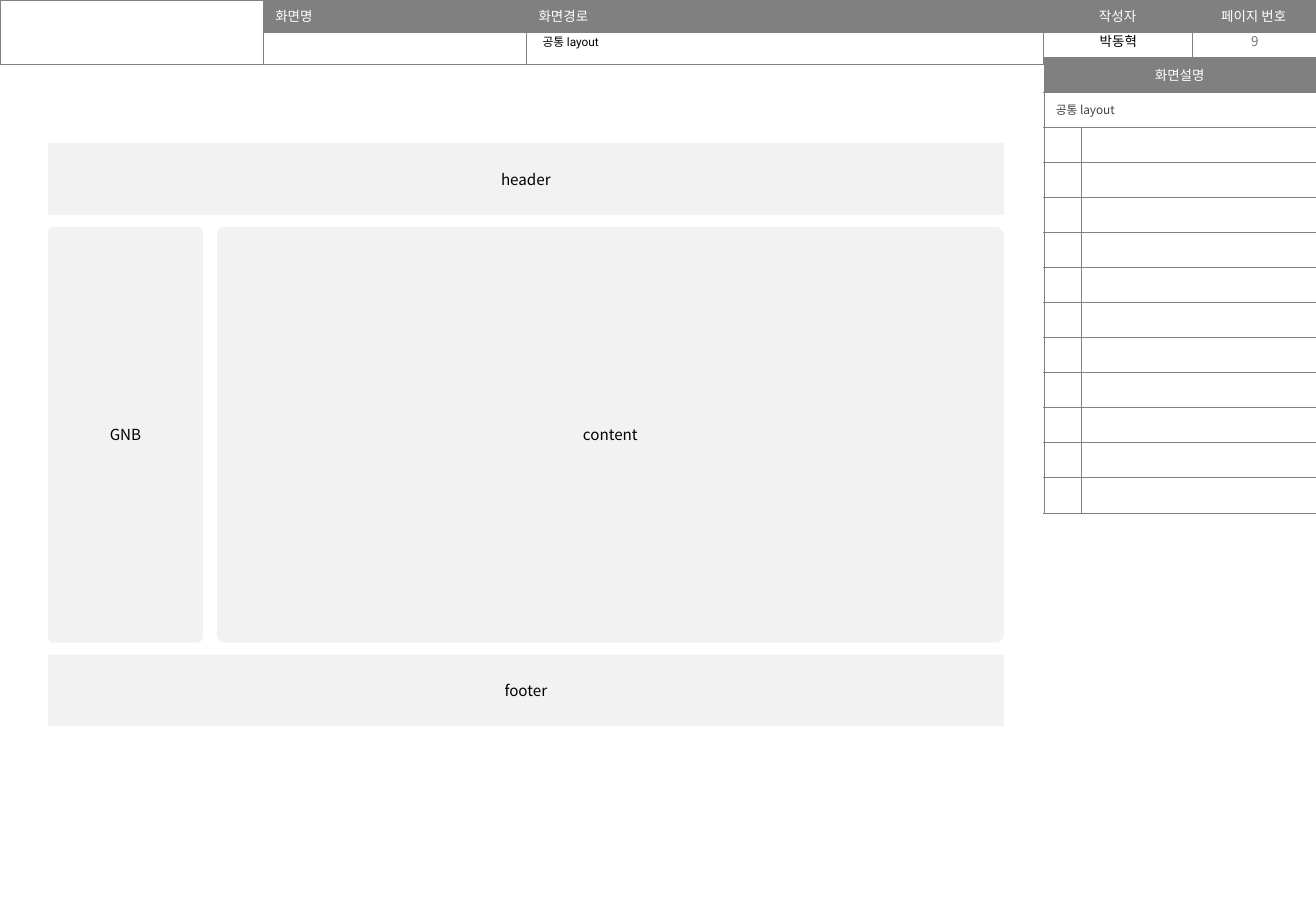
from dataclasses import dataclass

from lxml.etree import SubElement
from pptx import Presentation
from pptx.dml.color import RGBColor
from pptx.enum.shapes import MSO_SHAPE
from pptx.enum.text import MSO_ANCHOR, PP_ALIGN
from pptx.oxml.ns import qn
from pptx.slide import Slide
from pptx.table import Table, _Cell
from pptx.text.text import TextFrame
from pptx.util import Pt


@dataclass(frozen=True)
class Theme:
    font: str = "Noto Sans CJK KR"
    path_font: str = "Roboto"
    gray: str = "808080"
    panel: str = "F2F2F2"
    white: str = "FFFFFF"
    black: str = "000000"
    number: str = "797979"
    note: str = "404040"
    small: float = 7
    label: float = 8
    block: float = 9
    border: float = 0.25


THEME = Theme()


@dataclass(frozen=True)
class Style:
    size: float = THEME.label
    color: str = THEME.black
    font: str = THEME.font
    align: PP_ALIGN = PP_ALIGN.CENTER
    anchor: MSO_ANCHOR = MSO_ANCHOR.MIDDLE


@dataclass(frozen=True)
class Box:
    text: str
    left: float
    top: float
    width: float
    height: float
    style: Style = Style()
    adj: float = 0


def write(tf: TextFrame, text: str, style: Style) -> None:
    p = tf.paragraphs[0]
    p.text = text
    p.alignment = style.align
    for r in p.runs:
        r.font.size = Pt(style.size)
        r.font.name = style.font
        r.font.color.rgb = RGBColor.from_string(style.color)
        # Korean letters take their own typeface
        latin = r.font._element.find(qn("a:latin"))
        ea = SubElement(r.font._element, qn("a:ea"), typeface=THEME.font)
        latin.addnext(ea)
    if not text:
        # Keep empty rows from growing
        SubElement(p._p, qn("a:endParaRPr"), sz=str(int(style.size * 100)))


def add_box(s: Slide, box: Box) -> None:
    tf = s.shapes.add_textbox(
        Pt(box.left), Pt(box.top), Pt(box.width), Pt(box.height)
    ).text_frame
    tf.word_wrap = True
    tf.vertical_anchor = box.style.anchor
    write(tf, box.text, box.style)


def add_block(s: Slide, box: Box) -> None:
    sp = s.shapes.add_shape(
        MSO_SHAPE.ROUNDED_RECTANGLE,
        Pt(box.left), Pt(box.top), Pt(box.width), Pt(box.height),
    )
    sp.adjustments[0] = box.adj
    sp.shadow.inherit = False
    sp.fill.solid()
    sp.fill.fore_color.rgb = RGBColor.from_string(THEME.panel)
    sp.line.fill.background()
    tf = sp.text_frame
    tf.word_wrap = True
    tf.margin_left = tf.margin_right = tf.margin_top = tf.margin_bottom = Pt(7.2)
    tf.vertical_anchor = box.style.anchor
    write(tf, box.text, box.style)


def set_cell(cell: _Cell, text: str, style: Style, filled: bool) -> None:
    tc_pr = cell._tc.get_or_add_tcPr()
    for side in ("a:lnL", "a:lnR", "a:lnT", "a:lnB"):
        ln = SubElement(tc_pr, qn(side), w=str(Pt(THEME.border)))
        SubElement(SubElement(ln, qn("a:solidFill")), qn("a:srgbClr"), val=THEME.gray)
    if filled:
        cell.fill.solid()
        cell.fill.fore_color.rgb = RGBColor.from_string(THEME.gray)
    else:
        cell.fill.background()
    cell.vertical_anchor = style.anchor
    write(cell.text_frame, text, style)


def add_grid(
    s: Slide, left: float, top: float, cols: list[float], rows: int, row_height: float
) -> Table:
    table = s.shapes.add_table(
        rows, len(cols), Pt(left), Pt(top), Pt(sum(cols)), Pt(row_height * rows)
    ).table
    table.first_row = table.horz_banding = False
    for col, width in zip(table.columns, cols):
        col.width = Pt(width)
    for row in table.rows:
        row.height = Pt(row_height)
    return table


def main() -> None:
    prs = Presentation()
    prs.slide_width, prs.slide_height = Pt(780), Pt(540)
    s = prs.slides.add_slide(prs.slide_layouts[6])

    # Title strip
    head_cols = [156, 156, 306.6, 87.8, 73.6]
    side_left = sum(head_cols[:3])
    head = add_grid(s, 0, 0, head_cols, 2, 19)
    head.cell(0, 0).merge(head.cell(1, 0))
    labels = ["", "화면명", "화면경로", "작성자", "페이지 번호"]
    for i, label in enumerate(labels):
        align = PP_ALIGN.CENTER if i > 2 else PP_ALIGN.LEFT
        style = Style(color=THEME.white, align=align, anchor=MSO_ANCHOR.TOP)
        set_cell(head.cell(0, i), label, style, bool(label))
        set_cell(head.cell(1, i), "", style, False)

    # Values of the strip
    path_style = Style(
        THEME.small, font=THEME.path_font, align=PP_ALIGN.LEFT, anchor=MSO_ANCHOR.TOP
    )
    for box in (
        Box("박동혁", side_left, 15.8, 88.6, 17.3, Style(anchor=MSO_ANCHOR.TOP)),
        Box("9", 707.5, 15.8, 72.5, 17.3, Style(color=THEME.number)),
        Box("공통 layout", 314.6, 17.3, 303, 16, path_style),
    ):
        add_box(s, box)

    # Screen description
    side = add_grid(s, side_left, 33.8, [22, 139.4], 13, 20.8)
    texts = {
        0: ("화면설명", Style(color=THEME.white)),
        1: ("공통 layout", Style(THEME.small, THEME.note, align=PP_ALIGN.LEFT)),
    }
    for i in range(len(side.rows)):
        text, style = texts.get(i, ("", Style()))
        if text:
            side.cell(i, 0).merge(side.cell(i, 1))
        set_cell(side.cell(i, 0), text, style, i == 0)
        set_cell(side.cell(i, 1), "", style, i == 0)

    # Page layout blocks
    left, top, width, bar, body = 28.4, 84.8, 566.6, 42.5, 246.6
    nav, gap, gutter = 92, 7.1, 8.1
    body_top = top + bar + gap
    foot_top = body_top + body + gap
    content_left = left + nav + gutter
    style = Style(THEME.block)
    for box in (
        Box("header", left, top, width, bar, style),
        Box("GNB", left, body_top, nav, body, style, 0.04),
        Box("footer", left, foot_top, width, bar, style),
        Box("content", content_left, body_top, width - nav - gutter, body, style, 0.02),
    ):
        add_block(s, box)

    prs.save("out.pptx")


if __name__ == "__main__":
    main()
